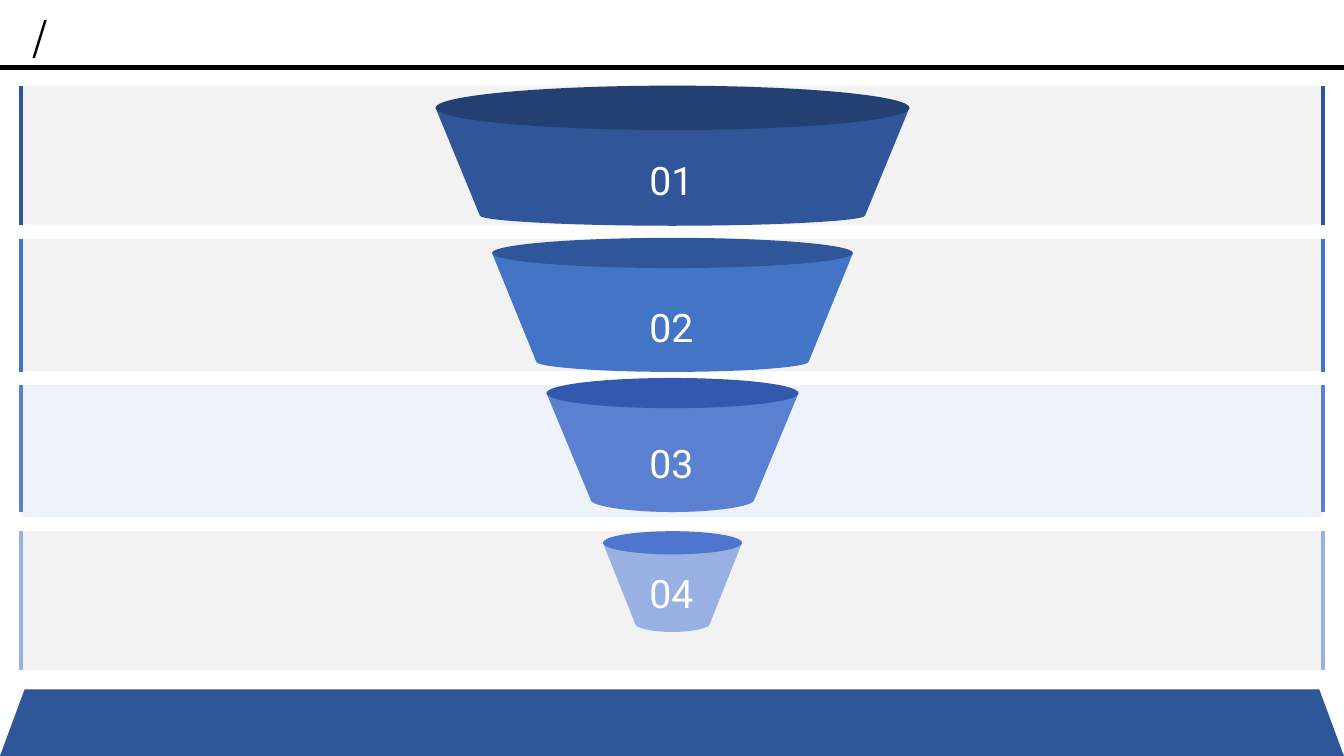
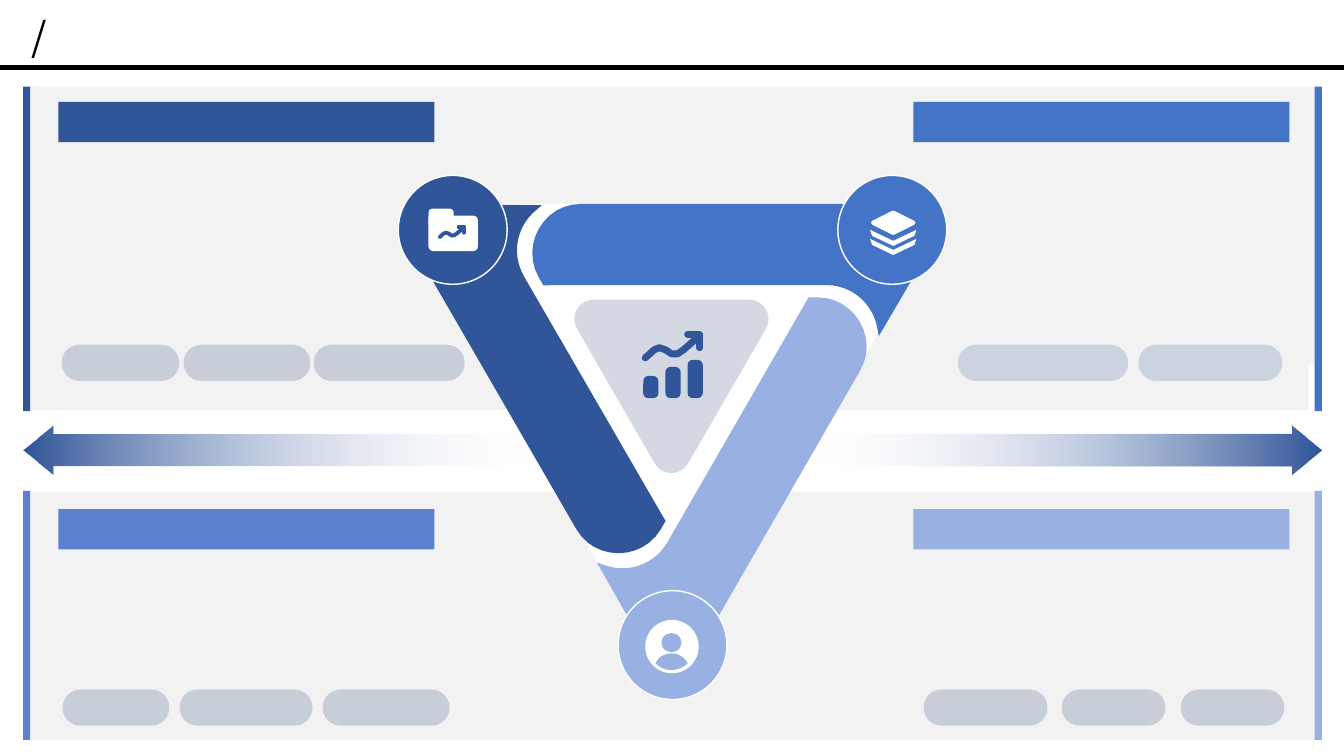
from math import cos, radians, sin

from lxml import etree
from pptx import Presentation
from pptx.dml.color import RGBColor
from pptx.enum.shapes import MSO_CONNECTOR, MSO_SHAPE
from pptx.enum.text import MSO_ANCHOR, PP_ALIGN
from pptx.oxml.ns import qn
from pptx.util import Inches, Pt

RECT = MSO_SHAPE.RECTANGLE
ROUND = MSO_SHAPE.ROUNDED_RECTANGLE
OVAL = MSO_SHAPE.OVAL
TRAPEZOID = MSO_SHAPE.TRAPEZOID
LEFT_ARROW, RIGHT_ARROW = MSO_SHAPE.LEFT_ARROW, MSO_SHAPE.RIGHT_ARROW
STRAIGHT = MSO_CONNECTOR.STRAIGHT
LEFT, CENTER = PP_ALIGN.LEFT, PP_ALIGN.CENTER
MIDDLE, TOP = MSO_ANCHOR.MIDDLE, MSO_ANCHOR.TOP

COLORS = {
    "black": "000000",
    "white": "FFFFFF",
    "panel": "F2F2F2",
    "navy": "244072",
    "deep": "2F5698",
    "dark": "305598",
    "royal": "3259AE",
    "blue": "4474C5",
    "bright": "4E76CF",
    "medium": "5B80D0",
    "light": "99B0E3",
    "fade": "F3F6FB",
}
RGB = {name: RGBColor.from_string(value) for name, value in COLORS.items()}
TITLE_FONT = {"name": "Noto Sans CJK SC", "size": Pt(28), "bold": False}
NUMBER_FONT = {"name": "Roboto", "size": Pt(28)}
WIDTH, HEIGHT = 13.33, 7.5
CENTER_X = 6.67
CURVE_STEPS = 12


def style(sp, fill, alpha=None):
    sp.shadow.inherit = False
    sp.fill.solid()
    sp.fill.fore_color.rgb = RGB[fill]
    sp.line.fill.background()
    if alpha:
        color = sp._element.xpath("./p:spPr/a:solidFill/a:srgbClr")[0]
        etree.SubElement(color, qn("a:alpha"), val=str(alpha * 1000))
    return sp


def draw(s, steps, fill, alpha=None, hub=(0, 0), turns=(0,)):
    points = []
    for turn in turns:
        c, n = cos(radians(turn)), sin(radians(turn))
        for step in steps:
            ends = [(hub[0] + x * c - y * n, hub[1] + x * n + y * c)
                    for x, y in zip(step[::2], step[1::2])]
            if len(ends) == 1:
                points += ends
                continue
            bezier = [points[-1], *ends]
            for k in range(1, CURVE_STEPS + 1):
                t = k / CURVE_STEPS
                u = 1 - t
                weights = (u**3, 3 * u * u * t, 3 * u * t * t, t**3)
                points.append(tuple(sum(w * p[axis] for w, p in zip(weights, bezier))
                                    for axis in (0, 1)))
    start, *rest = [(Inches(x), Inches(y)) for x, y in points]
    builder = s.shapes.build_freeform(*start)
    builder.add_line_segments(rest, close=True)
    return style(builder.convert_to_shape(), fill, alpha)


prs = Presentation()
prs.slide_width, prs.slide_height = Inches(WIDTH), Inches(HEIGHT)
lines = []

for left in (0.22, 0.21):
    s = prs.slides.add_slide(prs.slide_layouts[5])
    title = s.shapes.title
    title.left, title.top = Inches(left), Inches(0.07)
    title.width, title.height = Inches(4.67), Inches(0.57)
    tf = title.text_frame
    tf.vertical_anchor = MIDDLE
    p = tf.paragraphs[0]
    p.alignment = LEFT
    r = p.add_run()
    r.text = "/"
    for key, value in TITLE_FONT.items():
        setattr(r.font, key, value)
    r.font.color.rgb = RGB["black"]
    lines.append((s, 0, 0.67, WIDTH, 0.67, "black"))

funnel, triangle = prs.slides

s = funnel
band_left, band_right = 0.21, 13.12
bands = [
    (0.85, 1.38, 2.23, "panel", None, "dark"),
    (2.37, 1.31, 3.69, "panel", None, "blue"),
    (3.82, 1.31, 5.08, "medium", 10, "medium"),
    (5.27, 1.38, 6.65, "panel", None, "light"),
]
for top, height, edge_end, fill, alpha, edge in bands:
    box = (band_left, top, band_right - band_left, height)
    style(s.shapes.add_shape(RECT, *map(Inches, box)), fill, alpha)
    for x in (band_left, band_right):
        lines.append((s, x, top, x, edge_end, edge))

stages = [
    (0.85, 0.44, 2.35, 1.91, 2.14, 2.24, "dark", "navy", 1.41),
    (2.36, 0.3, 1.79, 1.35, 3.59, 3.69, "blue", "deep", 2.87),
    (3.75, 0.3, 1.25, 0.81, 4.96, 5.08, "medium", "royal", 4.22),
    (5.27, 0.23, 0.69, 0.37, 6.19, 6.27, "light", "bright", 5.51),
]
for i, (top, rim, wide, narrow, corner, bottom, body, lid, text_top) in enumerate(stages, 1):
    mid, bend, pull = top + rim / 2, (corner + bottom) / 2, narrow * 0.55
    cup = [
        (-wide, mid), (wide, mid), (narrow, corner),
        (narrow, bend, pull, bottom, 0, bottom),
        (-pull, bottom, -narrow, bend, -narrow, corner),
    ]
    draw(s, cup, body, hub=(CENTER_X, 0))
    box = (CENTER_X - wide, top, 2 * wide, rim)
    style(s.shapes.add_shape(OVAL, *map(Inches, box)), lid)
    tf = s.shapes.add_textbox(*map(Inches, (6.25, text_top, 0.82, 0.63))).text_frame
    tf.word_wrap = True
    tf.vertical_anchor = TOP
    p = tf.paragraphs[0]
    p.alignment, p.line_spacing = CENTER, 1.2
    r = p.add_run()
    r.text = f"{i:02d}"
    for key, value in NUMBER_FONT.items():
        setattr(r.font, key, value)
    r.font.color.rgb = RGB["white"]

base = s.shapes.add_shape(TRAPEZOID, *map(Inches, (0, 6.84, WIDTH, 0.66)))
base.adjustments[0] = 0.37
style(base, "deep")

s = triangle
hub = (CENTER_X, 3.65)
panels = [
    ((0.29, 0.86, 12.75, 3.21), "panel"),
    ((0.23, 4.88, 12.87, 2.46), "panel"),
    ((12.98, 3.61, 0.06, 0.46), "white"),
]
for box, fill in panels:
    style(s.shapes.add_shape(RECT, *map(Inches, box)), fill)

rounded_triangles = [
    ((6.66, 3.63), 0.33, 2.65, "white", None),
    ((6.66, 3.61), 0.17, 0.98, "navy", 20),
]
corners = []
for middle, half, depth, fill, alpha in rounded_triangles:
    pull, low = half * 0.55, depth + half * 0.8
    corner = [(-half, depth), (-pull, low, pull, low, half, depth)]
    draw(s, corner, fill, alpha, hub=middle, turns=(0, -120, -240))

upper = {"bar_y": 0.86, "bar_h": 3.22, "heading_y": 1.01, "pill_y": 3.42}
lower = {"bar_y": 4.87, "bar_h": 2.47, "heading_y": 5.05, "pill_y": 6.84}
west = {"bar_x": 0.23, "heading_x": 0.58}
east = {"bar_x": 13.04, "heading_x": 9.06}
quadrants = [
    (upper, west, "dark", "navy", [(0.61, 1.17), (1.82, 1.26), (3.11, 1.5)]),
    (upper, east, "blue", "deep", [(9.5, 1.69), (11.29, 1.43)]),
    (lower, west, "medium", "navy", [(0.62, 1.06), (1.78, 1.32), (3.2, 1.26)]),
    (lower, east, "light", "navy", [(9.16, 1.23), (10.53, 1.03), (11.71, 1.03)]),
]
for row, side, fill, pill_fill, pills in quadrants:
    bar = (side["bar_x"], row["bar_y"], 0.07, row["bar_h"])
    heading = (side["heading_x"], row["heading_y"], 3.73, 0.4)
    for box in (bar, heading):
        style(s.shapes.add_shape(RECT, *map(Inches, box)), fill)
    for x, width in pills:
        pill = s.shapes.add_shape(ROUND, *map(Inches, (x, row["pill_y"], width, 0.36)))
        pill.adjustments[0] = 0.5
        style(pill, pill_fill, 20)

for kind, x, angle in ((RIGHT_ARROW, 8.03, 0), (LEFT_ARROW, 0.23, 180)):
    arrow = s.shapes.add_shape(kind, *map(Inches, (x, 4.22, 5.08, 0.49)))
    arrow.adjustments[0], arrow.adjustments[1] = 0.65, 0.61
    style(arrow, "dark")
    arrow.fill.gradient()
    arrow.fill.gradient_angle = angle
    for stop, name in zip(arrow.fill.gradient_stops, ("fade", "dark")):
        stop.color.rgb = RGB[name]
    clear = arrow._element.xpath("./p:spPr/a:gradFill/a:gsLst/a:gs/a:srgbClr")[0]
    etree.SubElement(clear, qn("a:alpha"), val="0")

outer_corner = [(-0.42, 2.51), (-0.32, 2.67, -0.16, 2.75, 0, 2.75),
                (0.17, 2.75, 0.33, 2.67, 0.43, 2.51)]
round_end = [(1.86, 0.03), (2.05, -0.29, 1.81, -0.7, 1.44, -0.7), (1.35, -0.7)]
inner_hollow = [(-0.05, 1.73), (-0.19, 1.97, -0.47, 2.04, -0.69, 1.95), (-0.75, 1.93)]
arm = outer_corner + round_end + inner_hollow
for turn, fill in ((120, "dark"), (240, "blue"), (0, "light")):
    draw(s, arm, fill, hub=hub, turns=(turn,))

badge = 1.08
for x, y, fill in ((3.95, 1.74, "dark"), (8.31, 1.74, "blue"), (6.13, 5.86, "light")):
    sp = style(s.shapes.add_shape(OVAL, *map(Inches, (x, y, badge, badge))), fill)
    sp.line.color.rgb = RGB["white"]
    sp.line.width = Pt(1)

chart_bottom = 3.95
chart_bars = [(6.38 + 0.22 * i, chart_bottom - h, 0.15, h) for i, h in enumerate((0.22, 0.31, 0.38))]
folder_tab, folder_body = (4.25, 2.07, 0.25, 0.2), (4.25, 2.14, 0.49, 0.35)
person_disc, person_head = (6.4, 6.15, 0.53, 0.53), (6.56, 6.28, 0.2, 0.19)
icon_parts = [
    *[(ROUND, box, 0.33, "dark") for box in chart_bars],
    (ROUND, folder_tab, 0.2, "white"),
    (ROUND, folder_body, 0.13, "white"),
    (OVAL, person_disc, None, "white"),
    (OVAL, person_head, None, "light"),
]
for kind, box, rounding, fill in icon_parts:
    sp = s.shapes.add_shape(kind, *map(Inches, box))
    if rounding:
        sp.adjustments[0] = rounding
    style(sp, fill)

shoulders = [(-0.16, 0), (-0.1, -0.13, 0.1, -0.13, 0.16, 0), (0.07, 0.09, -0.07, 0.09, -0.16, 0)]
draw(s, shoulders, "light", hub=(6.66, 6.58))

layer_x, layer_y = 8.86, 2.21
top_layer = draw(s, [(-0.2, 0), (0, -0.1), (0.2, 0), (0, 0.1)], "white", hub=(layer_x, layer_y))
top_layer.line.color.rgb = RGB["white"]
top_layer.line.width = Pt(3)
etree.SubElement(top_layer.line._get_or_add_ln(), qn("a:round"))
chevron = [(-0.23, 0), (0, 0.11), (0.23, 0), (0.21, 0.06), (0, 0.16), (-0.21, 0.06)]
for i in (1, 2):
    draw(s, chevron, "white", hub=(layer_x, layer_y - 0.02 + 0.09 * i))

trend = [(0, 0.23), (0.09, 0.15), (0.14, 0.13), (0.2, 0.15), (0.26, 0.19),
         (0.32, 0.19), (0.38, 0.15), (0.54, 0.01)]
trend_head = [(0.42, 0), (0.54, 0), (0.54, 0.13)]
for x, y, scale, weight in ((6.4, 3.32, 1, 5), (4.36, 2.25, 0.45, 2.75)):
    for stroke in (trend, trend_head):
        start, *rest = [(Inches(x + a * scale), Inches(y + b * scale)) for a, b in stroke]
        builder = s.shapes.build_freeform(*start)
        builder.add_line_segments(rest, close=False)
        sp = style(builder.convert_to_shape(), "dark")
        sp.fill.background()
        sp.line.color.rgb = RGB["dark"]
        sp.line.width = Pt(weight)
        ln = sp.line._get_or_add_ln()
        ln.set("cap", "rnd")
        etree.SubElement(ln, qn("a:round"))

for s, x1, y1, x2, y2, color in lines:
    line = s.shapes.add_connector(STRAIGHT, *map(Inches, (x1, y1, x2, y2)))
    line.line.color.rgb = RGB[color]
    line.line.width = Pt(3)
    etree.SubElement(line._element.spPr, qn("a:effectLst"))

prs.save("out.pptx")
